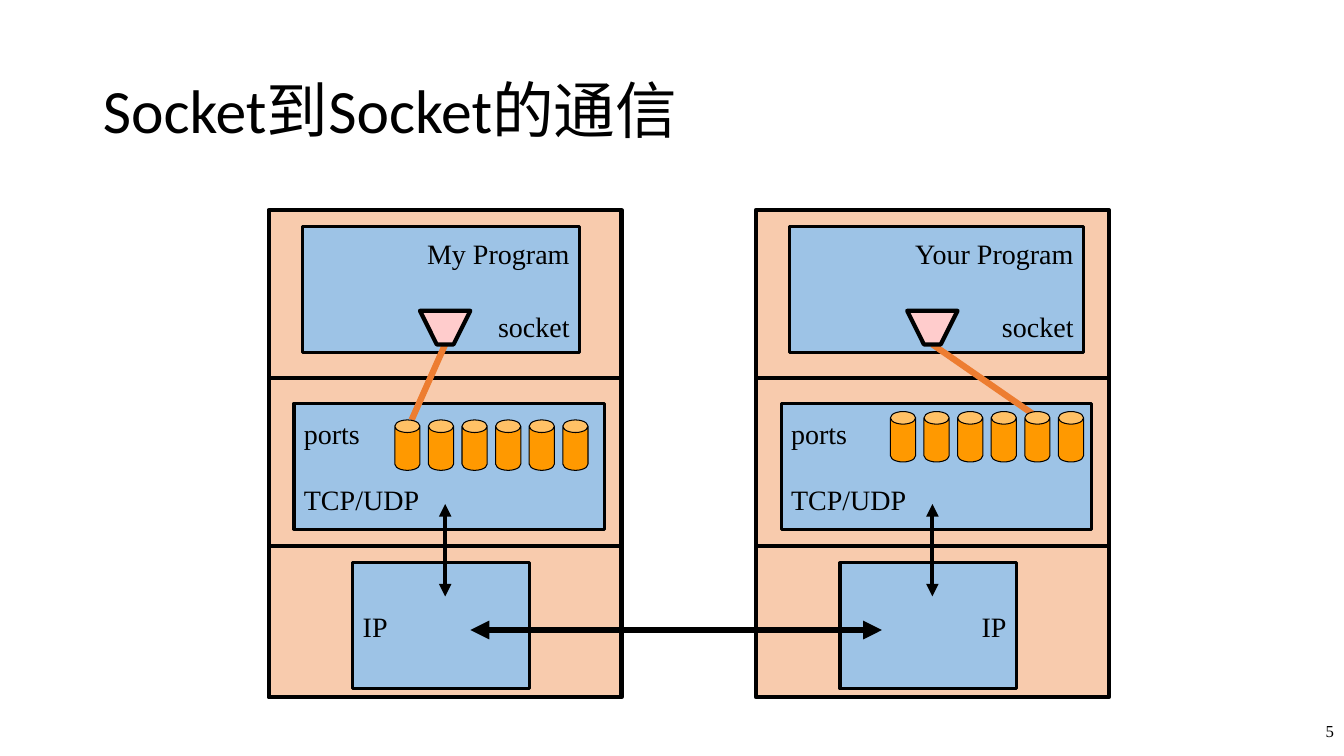
from pptx import Presentation
from pptx.dml.color import RGBColor as RGB
from pptx.enum.shapes import MSO_CONNECTOR as Conn, MSO_SHAPE as Shape
from pptx.enum.text import MSO_ANCHOR as Anchor, PP_ALIGN as Align
from pptx.util import Inches, Pt
from lxml.etree import SubElement

COLORS = {
    "black": "000000", "host": "F8CBAD", "box": "9DC3E6",
    "plug": "ED7D31", "port": "FF9900", "socket": "FFCCCC",
}
UNIT = Inches(1) // 12  # the grid has twelve steps to the inch
COLS, ROWS = 160, 90
NS = "{http://schemas.openxmlformats.org/drawingml/2006/main}"

prs = Presentation()
prs.slide_width, prs.slide_height = COLS * UNIT, ROWS * UNIT
slide = prs.slides.add_slide(prs.slide_layouts[5])
shapes = slide.shapes


def write(shape, *lines, size=20, font="Times New Roman", align=Align.LEFT, gap=0, space=1.0):
    frame = shape.text_frame
    frame.word_wrap = True
    frame.vertical_anchor = Anchor.MIDDLE
    frame.text = "\n".join(lines)
    for i, par in enumerate(frame.paragraphs):
        par.alignment = align
        par.line_spacing = space
        par.space_before = Pt(gap if i else 0)
        par.font.size = Pt(size)
        par.font.name = font
        par.font.color.rgb = RGB.from_string(COLORS["black"])


def style(shape, width, fill=None, line="black", arrow=False):
    """Set line, fill and arrowheads; a shape without fill is a connector."""
    shape.line.color.rgb = RGB.from_string(COLORS[line])
    shape.line.width = Pt(width)
    if fill:
        shape.fill.solid()
        shape.fill.fore_color.rgb = RGB.from_string(COLORS[fill])
        shape.shadow.inherit = False
        return shape
    props = shape._element.spPr
    if arrow:
        for end in ("headEnd", "tailEnd"):
            SubElement(props.find(NS + "ln"), NS + end, type="triangle")
    SubElement(props, NS + "effectLst")
    return shape


title = shapes.title
title.left, title.top = Inches(0.92), Inches(0.4)
title.width, title.height = Inches(11.5), Inches(1.45)
write(title, "Socket到Socket的通信", size=44, font="Calibri", space=0.9)

number = shapes.add_textbox(152 * UNIT, 84 * UNIT, 8 * UNIT, 6 * UNIT)
write(number, "5", size=12, align=Align.RIGHT)

# left edge, program, its width, column and row of first port, linked port, IP side
hosts = [
    (32, "My Program", 33, 47, 50, 49, Align.LEFT),
    (90, "Your Program", 35, 106, 49, 124, Align.RIGHT),
]
for left, name, wide, first, row, link, side in hosts:
    mid = left + 21
    host = shapes.add_shape(Shape.RECTANGLE, left * UNIT, 25 * UNIT, 42 * UNIT, 58 * UNIT)
    style(host, 3, "host")

    boxes = [
        (4, 27, wide, (name, "socket"), Align.RIGHT, 27.6),
        (3, 48, 37, ("ports", "TCP/UDP"), Align.LEFT, 23),
        (10, 67, 21, ("IP",), side, 0),
    ]
    for col, top, width, lines, align, gap in boxes:
        box = shapes.add_shape(
            Shape.RECTANGLE, (left + col) * UNIT, top * UNIT, width * UNIT, 15 * UNIT)
        write(style(box, 2.25, "box"), *lines, align=align, gap=gap)

    links = [
        (left, 45, left + 42, 45, 3, "black", False),
        (left, 65, left + 42, 65, 3, "black", False),
        (mid, 41, link, 50, 4.5, "plug", False),
        (mid, 60, mid, 71, 3, "black", True),
    ]
    for x1, y1, x2, y2, width, color, arrow in links:
        wire = shapes.add_connector(
            Conn.STRAIGHT, x1 * UNIT, y1 * UNIT, x2 * UNIT, y2 * UNIT)
        style(wire, width, line=color, arrow=arrow)

    for i in range(6):
        port = shapes.add_shape(
            Shape.CAN, (first + 4 * i) * UNIT, row * UNIT, 3 * UNIT, 6 * UNIT)
        port.adjustments[0] = 0.5
        style(port, 0.75, "port")

    pen = shapes.build_freeform(mid - 3, 37, scale=UNIT)
    pen.add_line_segments([(mid - 1.5, 41), (mid + 1.5, 41), (mid + 3, 37)], close=True)
    style(pen.convert_to_shape(), 3, "socket")

net = shapes.add_connector(Conn.STRAIGHT, 56 * UNIT, 75 * UNIT, 105 * UNIT, 75 * UNIT)
style(net, 4.5, arrow=True)

prs.save("out.pptx")
